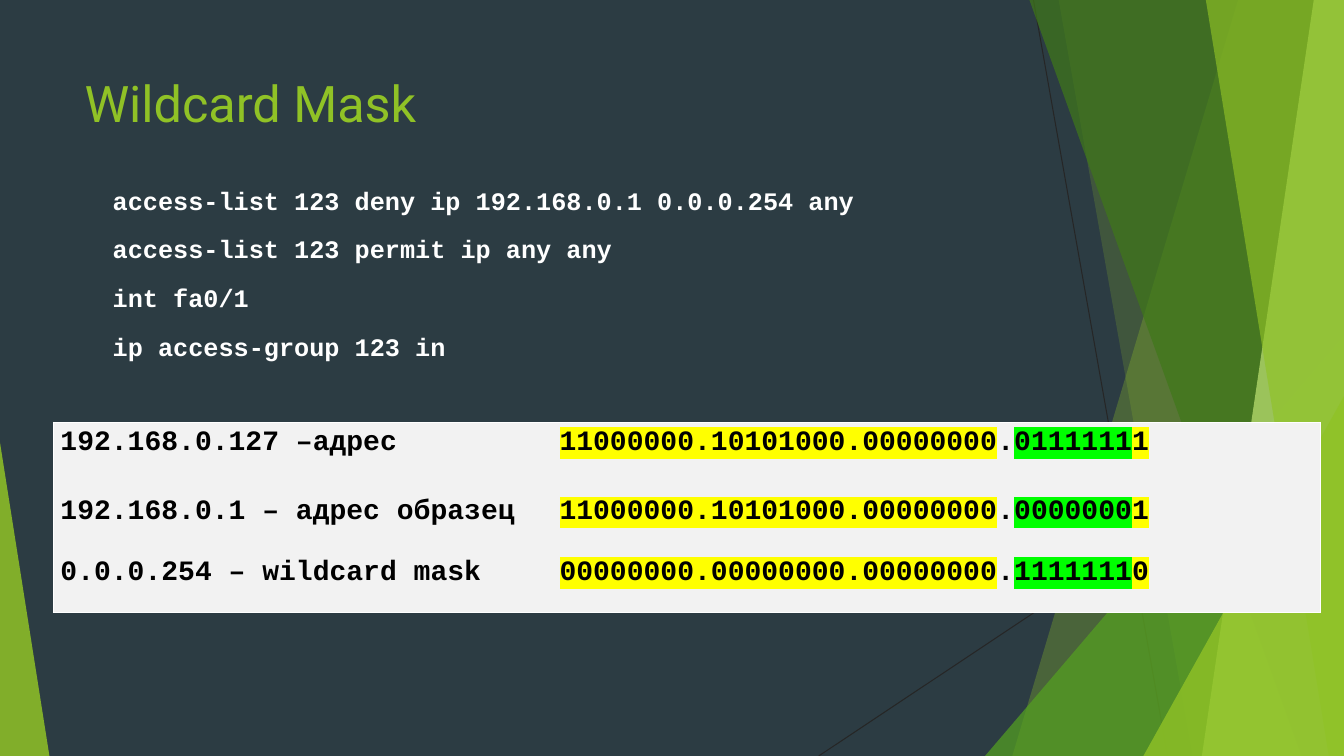
"""Build the Wildcard Mask slide: faceted backdrop, access-list commands and a bit table."""
from lxml import etree
from pptx import Presentation
from pptx.dml.color import RGBColor
from pptx.enum.shapes import MSO_CONNECTOR, MSO_SHAPE
from pptx.oxml.ns import qn
from pptx.util import Inches, Pt

STRAIGHT = MSO_CONNECTOR.STRAIGHT
TRIANGLE = MSO_SHAPE.ISOSCELES_TRIANGLE
COLORS = {
    "background": "2C3C43", "hairline": "262626", "lime": "90C226",
    "green": "54A021", "forest": "3F7819", "pale": "C0E474",
    "white": "FFFFFF", "black": "000000", "cell": "F2F2F2",
    "network": "FFFF00", "wild": "00FF00",
}
WIDTH, HEIGHT = 13.33, 7.5


def color_of(name):
    return RGBColor.from_string(COLORS[name])


def set_font(paragraph, name, size, color, bold=False):
    font = paragraph.font
    font.name, font.size, font.bold = name, Pt(size), bold
    font.color.rgb = color_of(color)


deck = Presentation()
deck.slide_width, deck.slide_height = Inches(WIDTH), Inches(HEIGHT)
page = deck.slides.add_slide(deck.slide_layouts[6])
page.background.fill.solid()
page.background.fill.fore_color.rgb = color_of("background")

for x1, y1, x2, y2 in [(10.25, 0, 11.58, HEIGHT), (WIDTH, 4.03, 8.12, HEIGHT)]:
    hairline = page.shapes.add_connector(
        STRAIGHT, Inches(x1), Inches(y1), Inches(x2), Inches(y2))
    hairline.line.color.rgb = color_of("hairline")
    hairline.line.width = Pt(0.75)
    etree.SubElement(hairline._element.spPr, qn("a:effectLst"))

# facets
facets = [
    ("panel", 12.28, 10.04, "lime", 30),
    ("panel", 10.5, 11.83, "lime", 20),
    ("triangle", (9.77, 3.33, 3.56), 1, "green", 72),
    ("panel", 10.21, 12.91, "forest", 70),
    ("panel", 13.03, 11.92, "pale", 70),
    ("panel", 11.96, 13.18, "lime", 65),
    ("triangle", (11.34, 3.93, 1.99), 1, "lime", 80),
    ("triangle", (0, 4.39, 0.49), 0, "lime", 85),
]
for kind, start, end, color, opacity in facets:
    if kind == "panel":
        outline = page.shapes.build_freeform(Inches(start), Inches(0))
        outline.add_line_segments(
            [(Inches(x), Inches(y))
             for x, y in [(WIDTH, 0), (WIDTH, HEIGHT), (end, HEIGHT)]])
        facet = outline.convert_to_shape()
    else:
        left, top, width = start
        facet = page.shapes.add_shape(
            TRIANGLE, Inches(left), Inches(top), Inches(width), Inches(HEIGHT - top))
        facet.adjustments[0] = end
    facet.shadow.inherit = False
    facet.line.fill.background()
    facet.fill.solid()
    facet.fill.fore_color.rgb = color_of(color)
    tint = facet._element.spPr.find(qn("a:solidFill"))[0]
    etree.SubElement(tint, qn("a:alpha"), val=str(opacity * 1000))

title = page.shapes.add_textbox(Inches(0.74), Inches(0.67), Inches(9.4), Inches(1.44))
title.text_frame.word_wrap = True
title.text_frame.text = "Wildcard Mask"
set_font(title.text_frame.paragraphs[0], "Roboto", 36, "lime")

rows = [
    ("192.168.0.127 –адрес", "11000000.10101000.00000000", "0111111", "1"),
    ("192.168.0.1 – адрес образец", "11000000.10101000.00000000", "0000000", "1"),
    ("0.0.0.254 – wildcard mask", "00000000.00000000.00000000", "1111111", "0"),
]
table = page.shapes.add_table(
    3, 2, Inches(0.53), Inches(4.19), Inches(12.57), Inches(1.89)).table
table.first_row = table.horz_banding = False
for column, width in zip(table.columns, (4.95, 7.62)):
    column.width = Inches(width)
for row, height in zip(table.rows, (0.69, 0.6, 0.6)):
    row.height = Inches(height)

for row_index, (label, network, wild, last_bit) in enumerate(rows):
    bits = [(network, "network"), (".", None), (wild, "wild"), (last_bit, "network")]
    for column_index, spans in enumerate([[(label, None)], bits]):
        cell = table.cell(row_index, column_index)
        cell.margin_left = cell.margin_right = Inches(0.07)
        cell.margin_top = cell.margin_bottom = 0
        para = cell.text_frame.paragraphs[0]
        para.line_spacing, para.space_after = 1.15, Pt(10)
        set_font(para, "Courier New", 20, "black", True)
        for text, highlight in spans:
            span = para.add_run()
            span.text = text
            if highlight:
                marker = etree.SubElement(span._r.get_or_add_rPr(), qn("a:highlight"))
                etree.SubElement(marker, qn("a:srgbClr"), val=COLORS[highlight])
        outer_edges = {
            "a:lnL": column_index == 0, "a:lnR": column_index == 1,
            "a:lnT": row_index == 0, "a:lnB": row_index == 2,
        }
        for edge, is_outer in outer_edges.items():
            border = etree.SubElement(cell._tc.get_or_add_tcPr(), qn(edge), w=str(Pt(1)))
            if is_outer:
                paint = etree.SubElement(border, qn("a:solidFill"))
                etree.SubElement(paint, qn("a:srgbClr"), val=COLORS["white"])
            else:
                etree.SubElement(border, qn("a:noFill"))
        cell.fill.solid()
        cell.fill.fore_color.rgb = color_of("cell")

commands = page.shapes.add_textbox(Inches(1.02), Inches(1.74), Inches(8.6), Inches(2.49))
commands.text_frame.word_wrap = True
commands.text_frame.text = "\n".join([
    "access-list 123 deny ip 192.168.0.1 0.0.0.254 any",
    "access-list 123 permit ip any any",
    "int fa0/1",
    "ip access-group 123 in",
])
for para in commands.text_frame.paragraphs:
    para.line_spacing, para.space_after = 1.15, Pt(10)
    set_font(para, "Courier New", 18, "white", True)

deck.save("out.pptx")
